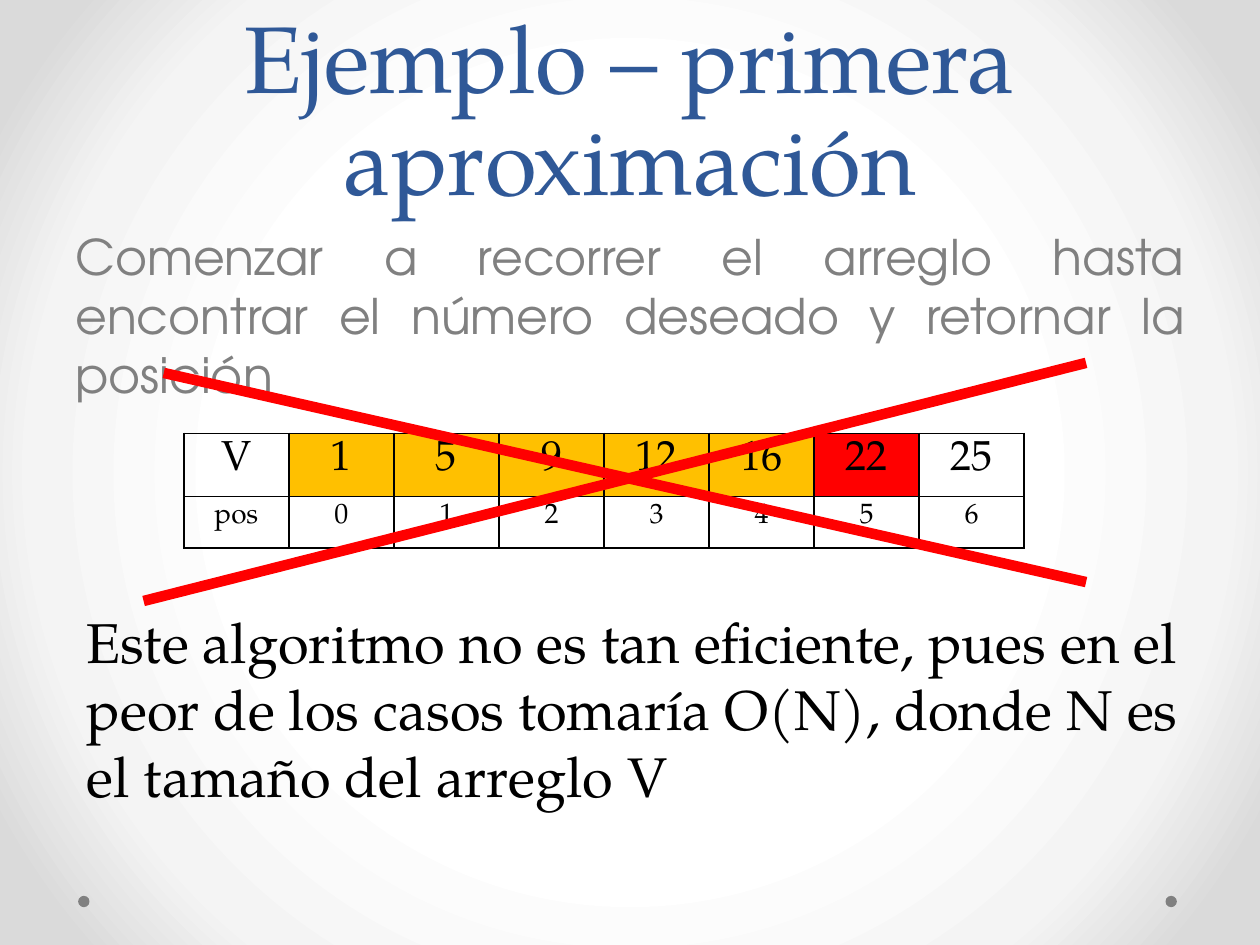
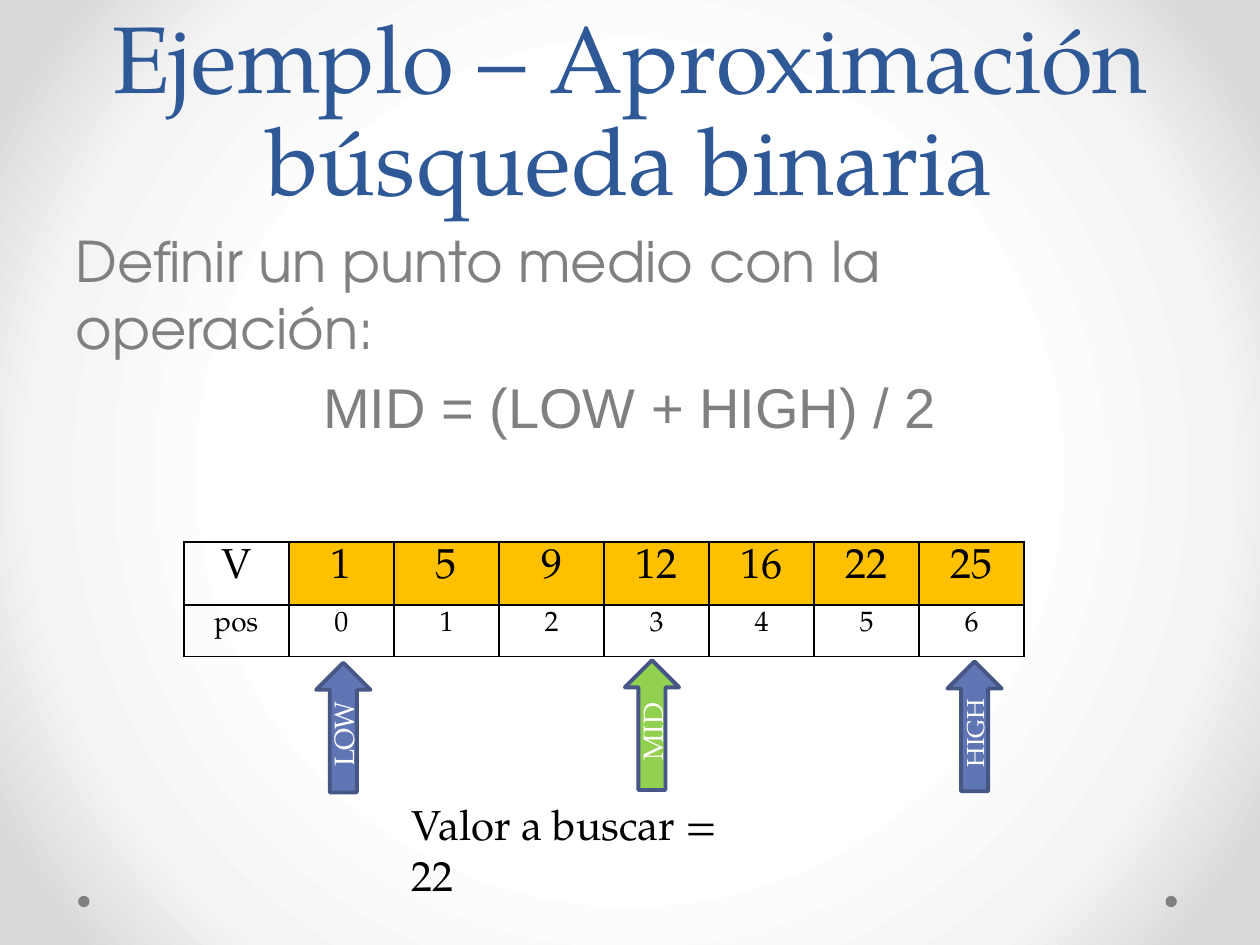
"""Two slides on searching a sorted array: linear scan and binary search."""
import dataclasses

import pptx
import pptx.dml.color
import pptx.enum.dml
import pptx.enum.shapes
import pptx.enum.text
import pptx.oxml
import pptx.oxml.ns
import pptx.util

SERIF, SANS, PLAIN = "TeX Gyre Pagella", "TeX Gyre Adventor", "Arial"
BLACK, WHITE, GREY, TITLE_BLUE = "000000", "FFFFFF", "808080", "2F5897"
AMBER, RED, GREEN, BLUE, OUTLINE = "FFC000", "FF0000", "92D050", "6076B4", "475785"
BACKDROP = [(50, WHITE), (76, "F4F4F4"), (92, "DADADA")]
VALUES = [1, 5, 9, 12, 16, 22, 25]
COLUMN = ROW = pptx.util.Inches(1)
GRID_COLUMNS, GRID_ROWS = 10, 7.5
ALIGN = pptx.enum.text.PP_ALIGN
ANCHOR = pptx.enum.text.MSO_ANCHOR
SHAPE = pptx.enum.shapes.MSO_SHAPE


@dataclasses.dataclass
class Box:
    """A region of the slide in grid columns and rows."""
    left: float
    top: float
    width: float
    height: float

    def region(self, left, top, width, height):
        """Return a box placed relative to this one's corner."""
        return Box(self.left + left, self.top + top, width, height)

    def lengths(self):
        """Return left, top, width and height as slide lengths."""
        return (int(self.left * COLUMN), int(self.top * ROW),
                int(self.width * COLUMN), int(self.height * ROW))


SLIDE = Box(0, 0, GRID_COLUMNS, GRID_ROWS)
TITLE = SLIDE.region(0.5, 0, 9, 1.75)


def color(hex_code):
    """Turn a hex string into a colour."""
    return pptx.dml.color.RGBColor.from_string(hex_code)


def drawing_xml(markup):
    """Parse one element of the drawing namespace."""
    head, tail = markup.split(">", 1)
    closing = "/" if head.endswith("/") else ""
    return pptx.oxml.parse_xml(
        f"{head.rstrip('/')} {pptx.oxml.ns.nsdecls('a')}{closing}>{tail}")


def set_paragraph(paragraph, text, size, font=SERIF, ink=BLACK, align=ALIGN.LEFT):
    """Write and style one paragraph."""
    paragraph.text = text
    paragraph.alignment = align
    paragraph.font.size = pptx.util.Pt(size)
    paragraph.font.name = font
    paragraph.font.color.rgb = color(ink)


def add_text(slide, box, text, size, **style):
    """Add a wrapping text box with one paragraph and return its frame."""
    frame = slide.shapes.add_textbox(*box.lengths()).text_frame
    frame.word_wrap = True
    set_paragraph(frame.paragraphs[0], text, size, **style)
    return frame


def set_backdrop(master):
    """Give the master its radial grey gradient."""
    master.background.fill.gradient()
    gradient = master.element.find(".//" + pptx.oxml.ns.qn("a:gradFill"))
    for child in list(gradient):
        gradient.remove(child)
    stops = "".join(f'<a:gs pos="{share * 1000}"><a:srgbClr val="{tint}"/></a:gs>'
                    for share, tint in BACKDROP)
    gradient.append(drawing_xml(f"<a:gsLst>{stops}</a:gsLst>"))
    gradient.append(drawing_xml(
        '<a:path path="circle"><a:fillToRect l="50000" t="50000" r="50000" b="50000"/></a:path>'))


def add_frame(deck, title):
    """Add a slide with its footer dots and title."""
    slide = deck.slides.add_slide(deck.slide_layouts[6])
    for left in (9.25, 0.62):
        dot = slide.shapes.add_shape(SHAPE.OVAL, *SLIDE.region(left, 7.11, 0.09, 0.09).lengths())
        dot.shadow.inherit = False
        dot.fill.solid()
        dot.fill.fore_color.rgb = color(GREY)
        dot.line.fill.background()
    heading = add_text(slide, TITLE, title, 54, ink=TITLE_BLUE, align=ALIGN.CENTER)
    heading.vertical_anchor = ANCHOR.BOTTOM
    heading.paragraphs[0].line_spacing = pptx.util.Pt(58)
    return slide


def add_body(slide, box, lines, size):
    """Add the grey statement, one (text, font, alignment) per paragraph."""
    frame = slide.shapes.add_textbox(*box.lengths()).text_frame
    frame.word_wrap = True
    for index, (text, font, align) in enumerate(lines):
        paragraph = frame.add_paragraph() if index else frame.paragraphs[0]
        set_paragraph(paragraph, text, size, font, GREY, align)
        paragraph.space_before = pptx.util.Pt(size * 0.2)


def add_array(slide, box, fills):
    """Add the array table: values above positions, values filled in order."""
    rows = [(["V", *VALUES], 24, [None, *fills]),
            (["pos", *range(len(VALUES))], 16, [None] * (len(VALUES) + 1))]
    table = slide.shapes.add_table(len(rows), len(VALUES) + 1, *box.lengths()).table
    for row, (entries, size, tints) in enumerate(rows):
        table.rows[row].height = int(0.41 * ROW)
        for column, (entry, tint) in enumerate(zip(entries, tints)):
            cell = table.cell(row, column)
            set_paragraph(cell.text_frame.paragraphs[0], str(entry), size, align=ALIGN.CENTER)
            if tint:
                cell.fill.solid()
                cell.fill.fore_color.rgb = color(tint)
            else:
                cell.fill.background()
            properties = cell._tc.get_or_add_tcPr()
            for order, side in enumerate("LRTB"):
                properties.insert(order, drawing_xml(
                    f'<a:ln{side} w="12700"><a:solidFill><a:srgbClr val="{BLACK}"/>'
                    f"</a:solidFill></a:ln{side}>"))


def add_cross(slide, box, strokes):
    """Cross out a region with thick red strokes relative to its box."""
    for start_x, start_y, end_x, end_y in strokes:
        stroke = slide.shapes.add_connector(
            pptx.enum.shapes.MSO_CONNECTOR.STRAIGHT,
            int((box.left + start_x) * COLUMN), int((box.top + start_y) * ROW),
            int((box.left + end_x) * COLUMN), int((box.top + end_y) * ROW))
        stroke.line.color.rgb = color(RED)
        stroke.line.width = pptx.util.Pt(6)
        stroke._element.spPr.append(drawing_xml("<a:effectLst/>"))


def add_pointers(slide, box, pointers):
    """Add the labelled up arrows under the array."""
    for label, left, top, tint, size in pointers:
        pointer = slide.shapes.add_shape(
            SHAPE.UP_ARROW, *box.region(left, top, 0.43, 1.03).lengths())
        pointer.shadow.inherit = False
        pointer.fill.solid()
        pointer.fill.fore_color.rgb = color(tint)
        pointer.line.color.rgb = color(OUTLINE)
        pointer.line.width = pptx.util.Pt(2.25)
        frame = pointer.text_frame
        frame.vertical_anchor = ANCHOR.MIDDLE
        frame._txBody.bodyPr.set("vert", "vert270")
        set_paragraph(frame.paragraphs[0], label, size, ink=WHITE, align=ALIGN.CENTER)


def add_linear_slide(deck):
    """Build the slide that rejects the linear scan."""
    slide = add_frame(deck, "Ejemplo – primera aproximación")
    add_body(slide, SLIDE.region(0.5, 1.75, 9, 4.95), [
        ("Comenzar a recorrer el arreglo hasta encontrar el número deseado "
         "y retornar la posición", SANS, ALIGN.JUSTIFY)], 28)
    add_array(slide, SLIDE.region(1.46, 3.44, 6.67, 0.82), [AMBER] * 5 + [RED, None])
    add_text(slide, SLIDE.region(0.59, 4.77, 8.98, 1.72),
             "Este algoritmo no es tan eficiente, pues en el peor de los casos "
             "tomaría O(N), donde N es el tamaño del arreglo V", 32)
    add_cross(slide, SLIDE.region(1.14, 2.88, 7.48, 1.89),
              [(0.16, 0.08, 7.48, 1.74), (7.48, 0, 0, 1.89)])


def add_binary_slide(deck):
    """Build the slide that sets up the binary search."""
    slide = add_frame(deck, "Ejemplo – Aproximación búsqueda binaria")
    add_body(slide, SLIDE.region(0.5, 1.75, 9, 2.31), [
        ("Definir un punto medio con la operación:", SANS, ALIGN.LEFT),
        ("MID = (LOW + HIGH) / 2", PLAIN, ALIGN.CENTER)], 32)
    add_array(slide, SLIDE.region(1.46, 4.3, 6.67, 0.82), [AMBER] * len(VALUES))
    add_pointers(slide, SLIDE.region(2.51, 5.24, 5.44, 1.05), [
        ("LOW", 0, 0.02, BLUE, 16),
        ("HIGH", 5.01, 0.01, BLUE, 14),
        ("MID", 2.45, 0, GREEN, 16)])
    add_text(slide, SLIDE.region(3.17, 6.29, 2.78, 0.5), "Valor a buscar = 22", 24)


def main():
    """Build and save the deck."""
    deck = pptx.Presentation()
    deck.slide_width = int(GRID_COLUMNS * COLUMN)
    deck.slide_height = int(GRID_ROWS * ROW)
    set_backdrop(deck.slide_master)
    add_linear_slide(deck)
    add_binary_slide(deck)
    deck.save("out.pptx")


main()
